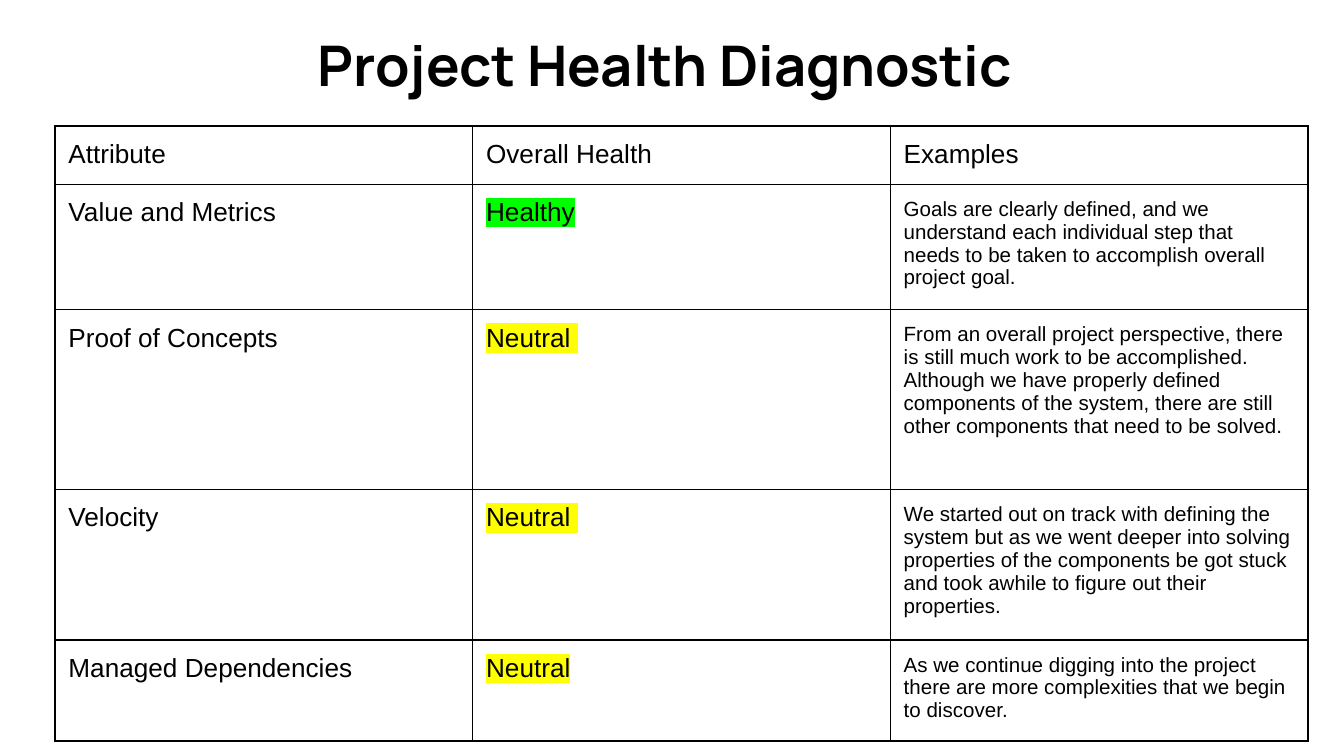
from lxml import etree
from pptx import Presentation
from pptx import util as u
from pptx.dml.color import RGBColor
from pptx.enum import text
from pptx.oxml import ns

SCALE = 914400 / 134.4
INSET = 13.44
BLACK, GREEN, YELLOW = "000000", "00FF00", "FFFF00"
TITLE_FORMAT = {"name": "Manrope", "size": u.Pt(30), "bold": True}
LABEL_FORMAT = {"name": "Arial", "size": u.Pt(14), "bold": False}
EXAMPLE_FORMAT = {**LABEL_FORMAT, "size": u.Pt(11)}

HEADINGS = ("Attribute", "Overall Health", "Examples")
DIAGNOSTICS = [
    ("Value and Metrics", "Healthy", GREEN, 98,
     "Goals are clearly defined, and we understand each individual step that "
     "needs to be taken to accomplish overall project goal."),
    ("Proof of Concepts", "Neutral ", YELLOW, 180,
     "From an overall project perspective, there is still much work to be "
     "accomplished. Although we have properly defined components of the system, "
     "there are still other components that need to be solved."),
    ("Velocity", "Neutral ", YELLOW, 98,
     "We started out on track with defining the system but as we went deeper "
     "into solving properties of the components be got stuck and took awhile "
     "to figure out their properties."),
    ("Managed Dependencies", "Neutral", YELLOW, 98,
     "As we continue digging into the project there are more complexities that "
     "we begin to discover."),
]


def px(length):
    """Turn picture pixels into EMU."""
    return u.Emu(round(length * SCALE))


def color(value):
    """Turn a hex string into a colour."""
    return RGBColor.from_string(value)


def set_attributes(target, values):
    """Set each format value on the target."""
    for name, value in values.items():
        setattr(target, name, value)


def set_margins(target):
    """Give a text frame or cell equal insets."""
    sides = ("left", "top", "right", "bottom")
    set_attributes(target, {f"margin_{side}": px(INSET) for side in sides})


def write(text_frame, words, font_format, highlight=None):
    """Write one formatted run, with an optional highlight."""
    run = text_frame.paragraphs[0].add_run()
    run.text = words
    set_attributes(run.font, font_format)
    run.font.color.rgb = color(BLACK)
    if highlight:
        mark = etree.Element(ns.qn("a:highlight"))
        etree.SubElement(mark, ns.qn("a:srgbClr"), val=highlight)
        run.font.fill._xPr.find(ns.qn("a:solidFill")).addnext(mark)


def add_borders(cell):
    """Draw a thin black line on each side of a cell."""
    properties = cell._tc.get_or_add_tcPr()
    for index, side in enumerate(("lnL", "lnR", "lnT", "lnB")):
        line = etree.Element(ns.qn(f"a:{side}"), w=str(u.Pt(0.75)))
        fill = etree.SubElement(line, ns.qn("a:solidFill"))
        etree.SubElement(fill, ns.qn("a:srgbClr"), val=BLACK)
        properties.insert(index, line)


def add_title(slide, left, top, width, height):
    """Place the centred slide title in its box."""
    shape = slide.shapes.add_textbox(*map(px, (left, top, width, height)))
    frame = shape.text_frame
    set_attributes(frame, {"word_wrap": True,
                           "vertical_anchor": text.MSO_ANCHOR.MIDDLE})
    set_margins(frame)
    frame.paragraphs[0].alignment = text.PP_ALIGN.CENTER
    write(frame, "Project Health Diagnostic", TITLE_FORMAT)


def add_diagnostic_table(slide, left, top, width):
    """Place the health table, with three equal columns."""
    heights = [58] + [row[3] for row in DIAGNOSTICS]
    table = slide.shapes.add_table(
        len(heights), len(HEADINGS),
        *map(px, (left, top, width, sum(heights)))).table
    set_attributes(table, {"first_row": False, "horz_banding": False})
    for column in table.columns:
        column.width = px(width / len(HEADINGS))
    for row, height in zip(table.rows, heights):
        row.height = px(height)

    rows = [[(heading, LABEL_FORMAT) for heading in HEADINGS]]
    for attribute, health, highlight, _, example in DIAGNOSTICS:
        rows.append([(attribute, LABEL_FORMAT),
                     (health, LABEL_FORMAT, highlight),
                     (example, EXAMPLE_FORMAT)])
    for row, contents in zip(table.rows, rows):
        for cell, content in zip(row.cells, contents):
            cell.fill.background()
            set_margins(cell)
            add_borders(cell)
            write(cell.text_frame, *content)


def main():
    """Build and save the presentation."""
    presentation = Presentation()
    set_attributes(presentation, {"slide_width": px(1344),
                                  "slide_height": px(756)})
    slide = presentation.slides.add_slide(presentation.slide_layouts[6])
    add_title(slide, 39, 19, 1252, 91)
    add_diagnostic_table(slide, 55, 126, 1253)
    presentation.save("out.pptx")


main()
